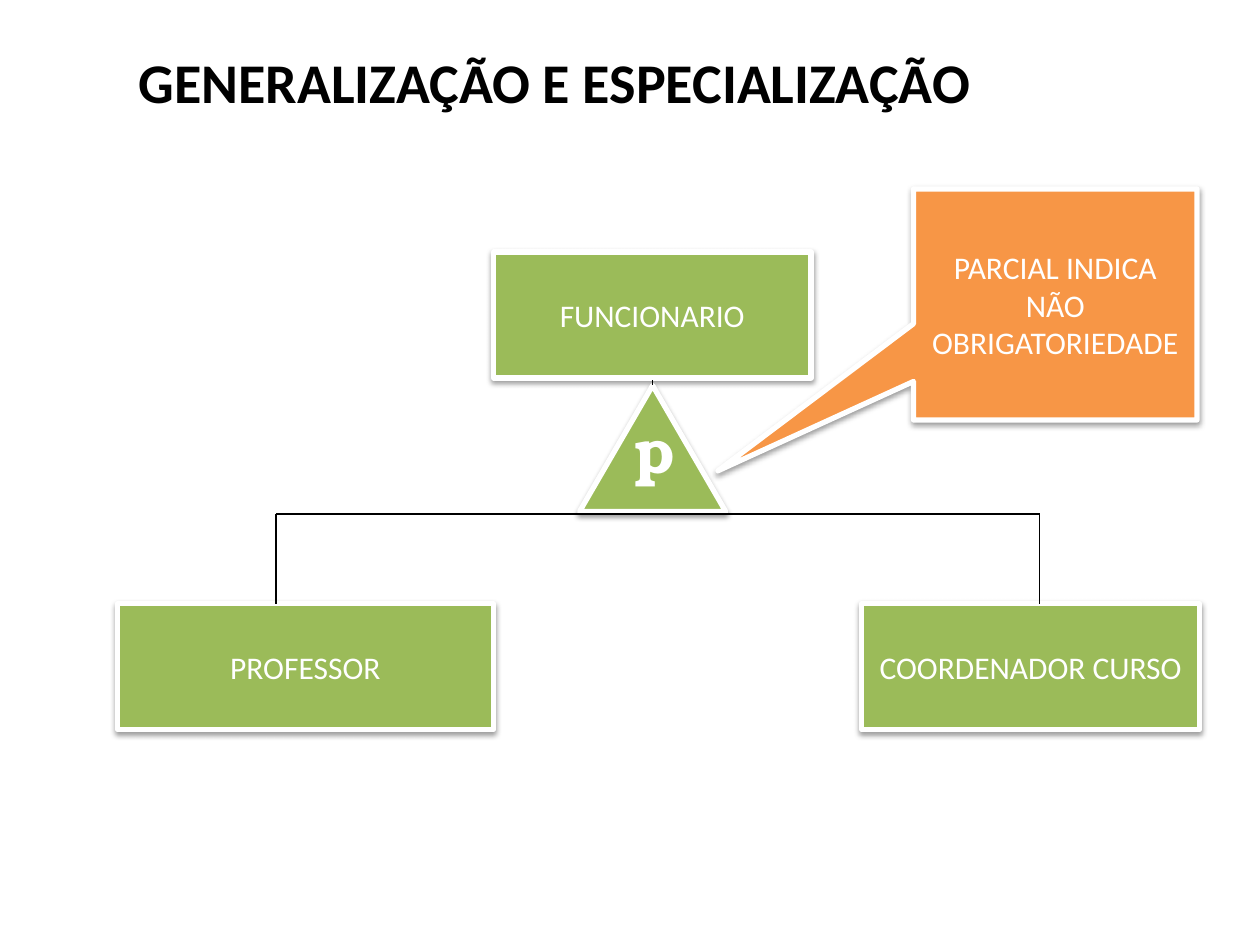
import pptx
import pptx.util
import pptx.dml.color
import pptx.enum.shapes
import pptx.enum.text
import pptx.oxml
import pptx.oxml.ns
import lxml.etree

Pt = pptx.util.Pt
color = pptx.dml.color.RGBColor.from_string
Shapes = pptx.enum.shapes.MSO_SHAPE
Align = pptx.enum.text.PP_ALIGN
Anchor = pptx.enum.text.MSO_ANCHOR
GREEN, ORANGE, WHITE, BLACK = "9BBB59", "F79646", "FFFFFF", "000000"
SHADOW = (
    f'<a:outerShdw {pptx.oxml.ns.nsdecls("a")} blurRad="39370" dist="20320" '
    'dir="5400000" rotWithShape="0"><a:srgbClr val="000000">'
    '<a:alpha val="38000"/></a:srgbClr></a:outerShdw>'
)

presentation = pptx.Presentation()
presentation.slide_width, presentation.slide_height = Pt(720), Pt(540)
slide = presentation.slides.add_slide(presentation.slide_layouts[5])


def add_block(kind, left, top, width, height, fill, text="", wrap=False):
    """Add a filled shape with a white border, a soft shadow and centred text."""
    shape = slide.shapes.add_shape(kind, Pt(left), Pt(top), Pt(width), Pt(height))
    shape.fill.solid()
    shape.fill.fore_color.rgb = color(fill)
    shape.line.color.rgb = color(WHITE)
    shape.line.width = Pt(3)
    shape.shadow.inherit = False
    effects = shape._element.spPr.find(pptx.oxml.ns.qn("a:effectLst"))
    effects.append(pptx.oxml.parse_xml(SHADOW))
    if text:
        frame = shape.text_frame
        frame.text = text
        frame.word_wrap = wrap
        frame.vertical_anchor = Anchor.MIDDLE
        frame.paragraphs[0].alignment = Align.CENTER
        set_font(frame.paragraphs[0], 18, WHITE)
    return shape


def set_font(paragraph, size, fill, name="Calibri", bold=False):
    paragraph.font.name = name
    paragraph.font.size = Pt(size)
    paragraph.font.bold = bold
    paragraph.font.color.rgb = color(fill)


# Title
title = slide.shapes.title
title.left, title.top, title.width, title.height = Pt(72), Pt(23.76), Pt(648), Pt(53.28)
title.text_frame.text = "GENERALIZAÇÃO E ESPECIALIZAÇÃO"
title.text_frame.auto_size = pptx.enum.text.MSO_AUTO_SIZE.NONE
title.text_frame.vertical_anchor = Anchor.TOP
title.text_frame.paragraphs[0].alignment = Align.LEFT
set_font(title.text_frame.paragraphs[0], 32, BLACK, bold=True)

# Entities
for text, left, top, width in [
    ("PROFESSOR", 67, 345, 215),
    ("COORDENADOR CURSO", 492.5, 345, 193),
    ("FUNCIONARIO", 282, 144, 181.5),
]:
    add_block(Shapes.RECTANGLE, left, top, width, 72, GREEN, text)

# Specialization triangle
add_block(Shapes.ISOSCELES_TRIANGLE, 331.2, 220.3, 83.5, 72, GREEN)

# Links: parent stem, crossbar and the two branches
for x1, y1, x2, y2 in [
    (373, 217.4, 373, 220.3),
    (157.7, 293.8, 594, 293.8),
    (157.7, 293.8, 157.7, 345),
    (594, 293.8, 594, 345),
]:
    link = slide.shapes.add_connector(
        pptx.enum.shapes.MSO_CONNECTOR.STRAIGHT, Pt(x1), Pt(y1), Pt(x2), Pt(y2))
    link.line.color.rgb = color(BLACK)
    link.line.width = Pt(0.75)
    lxml.etree.SubElement(link._element.spPr, pptx.oxml.ns.qn("a:effectLst"))

# Letter on the triangle
letter = slide.shapes.add_textbox(Pt(355.7), Pt(231.1), Pt(41), Pt(50.4))
letter.text_frame.word_wrap = True
letter.text_frame.text = "p"
set_font(letter.text_frame.paragraphs[0], 36, WHITE, "TeX Gyre Bonum", bold=True)

# Callout pointing at the triangle
callout = add_block(Shapes.RECTANGULAR_CALLOUT, 522, 108, 162, 132, ORANGE,
                    "PARCIAL INDICA NÃO OBRIGATORIEDADE", wrap=True)
callout.adjustments[0] = -1.19
callout.adjustments[1] = 0.72

presentation.save("out.pptx")
